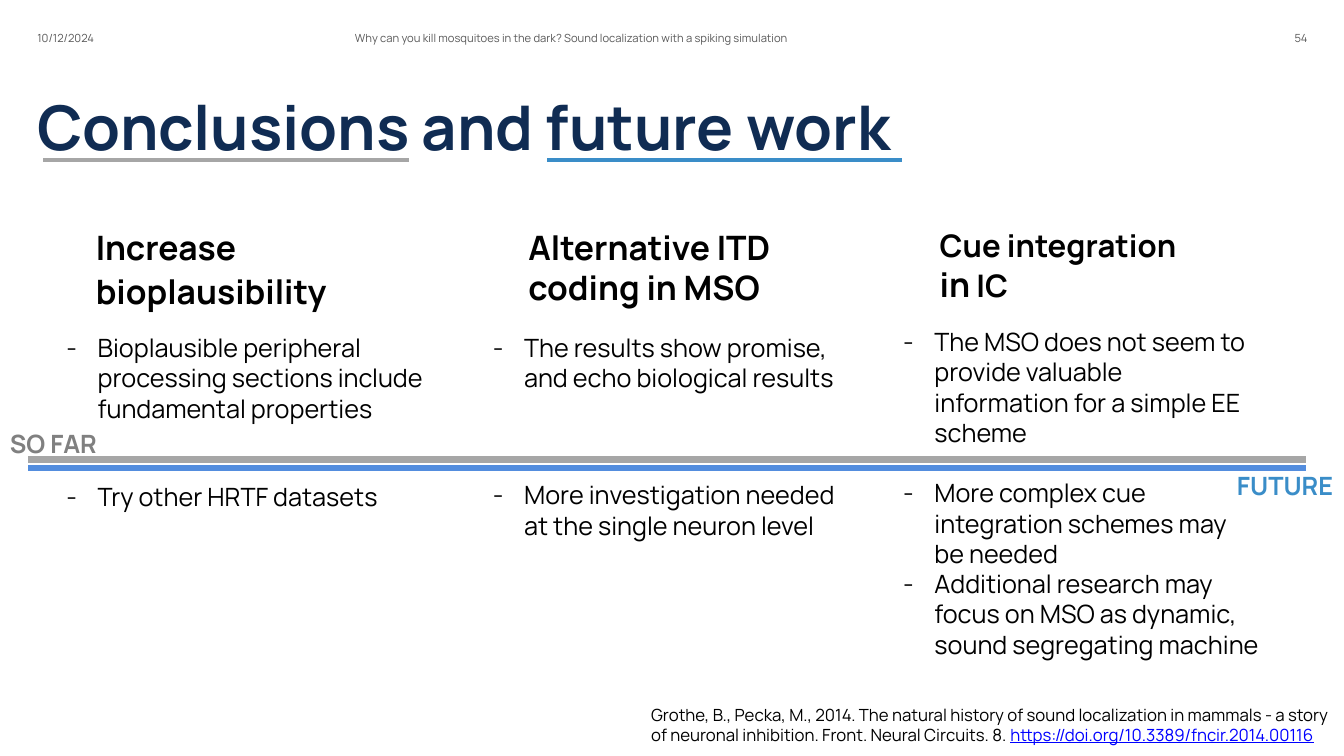
from lxml import etree
from pptx import Presentation
from pptx.dml.color import RGBColor
from pptx.enum import shapes, text
from pptx.oxml import ns
from pptx.util import Inches, Pt

FONT = "Manrope"
COLORS = {"navy": "102C53", "black": "000000", "meta": "595959", "gray": "808080",
          "rule": "A6A6A6", "sky": "3A8DC8", "blue": "538DDE", "link": "0000FF"}
INSET = (0.1, 0.05)

# heading: left, top, width, line spacing, runs; points: left, width, tops, items
COLUMNS = [
    {"heading": (0.95, 2.21, 2.85, 1.1, [("Increase bioplausibility", 24)]),
     "left": 0.56, "width": 3.89,
     "so_far": (3.25, ["Bioplausible peripheral processing sections include "
                       "fundamental properties"]),
     "future": (4.73, ["Try other HRTF datasets"])},
    {"heading": (5.24, 2.25, 2.85, 1.0, [("Alternative ITD coding in MSO", 24)]),
     "left": 4.79, "width": 3.75,
     "so_far": (3.25, ["The results show promise, and echo biological results"]),
     "future": (4.71, ["More investigation needed at the single neuron level"])},
    {"heading": (9.32, 2.25, 2.51, 1.0,
                 [("Cue integration ", 22.2), ("in", 24.1), (" IC", 22.2)]),
     "left": 8.86, "width": 3.74,
     "so_far": (3.19, ["The MSO does not seem to provide valuable information "
                       "for a simple EE scheme"]),
     "future": (4.69, ["More complex cue integration schemes may be needed",
                       "Additional research may focus on MSO as dynamic, "
                       "sound segregating machine"])},
]


def add_run(p, words, size, color="black", bold=False, underline=None):
    r = p.add_run()
    r.text = words
    r.font.name, r.font.size = FONT, Pt(size)
    r.font.bold, r.font.underline = bold, underline
    r.font.color.rgb = RGBColor.from_string(COLORS[color])


def set_frame(tf, inset=(0, 0), anchor=text.MSO_ANCHOR.TOP):
    tf.word_wrap = True
    tf.auto_size = text.MSO_AUTO_SIZE.NONE
    tf.vertical_anchor = anchor
    tf.margin_left = tf.margin_right = Inches(inset[0])
    tf.margin_top = tf.margin_bottom = Inches(inset[1])


def add_text(s, box, inset=(0, 0), anchor=text.MSO_ANCHOR.TOP):
    tf = s.shapes.add_textbox(*map(Inches, box)).text_frame
    set_frame(tf, inset, anchor)
    return tf


def add_rule(s, left, right, y, color, width):
    line = s.shapes.add_connector(shapes.MSO_CONNECTOR.STRAIGHT, Inches(left),
                                  Inches(y), Inches(right), Inches(y))
    line.line.color.rgb = RGBColor.from_string(COLORS[color])
    line.line.width = Pt(width)
    etree.SubElement(line._element.spPr, ns.qn("a:effectLst"))


def add_header(s, top, height):
    fields = [(0.37, 2.61, "10/12/2024", text.PP_ALIGN.LEFT),
              (3.52, 4.5, "Why can you kill mosquitoes in the dark? "
               "Sound localization with a spiking simulation", text.PP_ALIGN.LEFT),
              (11.83, 1.14, "54", text.PP_ALIGN.RIGHT)]
    for left, width, words, align in fields:
        tf = add_text(s, (left, top, width, height), anchor=text.MSO_ANCHOR.BOTTOM)
        tf.paragraphs[0].alignment = align
        add_run(tf.paragraphs[0], words, 8, "meta")


def add_title(s, left, top, width, height):
    title = s.shapes.title
    title.left, title.top = Inches(left), Inches(top)
    title.width, title.height = Inches(width), Inches(height)
    set_frame(title.text_frame)
    p = title.text_frame.paragraphs[0]
    p.alignment, p.line_spacing = text.PP_ALIGN.LEFT, 1.0
    add_run(p, "Conclusions and future work", 44, "navy", bold=True)
    underline_y = top + 0.71
    add_rule(s, left + 0.06, left + 3.69, underline_y, "rule", 3)
    add_rule(s, left + 5.06, left + 8.58, underline_y, "sky", 3)


def add_points(s, left, top, width, items):
    """Dash list, its box as tall as its items need."""
    lines = sum(-(-len(item) // 27) for item in items)
    tf = add_text(s, (left, top, width, 0.1 + 0.3 * lines), INSET)
    for i, item in enumerate(items):
        p = tf.add_paragraph() if i else tf.paragraphs[0]
        pPr = p._p.get_or_add_pPr()
        pPr.set("marL", str(Inches(0.31)))
        pPr.set("indent", str(Inches(-0.31)))
        etree.SubElement(pPr, ns.qn("a:buFont"), typeface=FONT)
        etree.SubElement(pPr, ns.qn("a:buChar"), char="-")
        add_run(p, item, 18)


def add_column(s, column):
    left, top, width, spacing, runs = column["heading"]
    p = add_text(s, (left, top, width, 0.85)).paragraphs[0]
    p.line_spacing = spacing
    for words, size in runs:
        add_run(p, words, size, bold=True)
    for part in ("so_far", "future"):
        top, items = column[part]
        add_points(s, column["left"], top, column["width"], items)


def add_divider(s, left, right, y):
    add_rule(s, left, right, y + 0.08, "blue", 4.5)
    add_rule(s, left, right, y, "rule", 4.5)
    for x, top, words, color in ((left - 0.28, y - 0.36, "SO FAR", "gray"),
                                 (right - 0.78, y + 0.06, "FUTURE", "sky")):
        tf = add_text(s, (x, top, 1.27, 0.4), INSET)
        add_run(tf.paragraphs[0], words, 18, color, bold=True)


def add_reference(s, left, top, width, height):
    p = add_text(s, (left, top, width, height), INSET).paragraphs[0]
    add_run(p, "Grothe, B., Pecka, M., 2014. The natural history of sound localization "
            "in mammals - a story of neuronal inhibition. Front. Neural Circuits. 8. ", 12)
    add_run(p, "https://doi.org/10.3389/fncir.2014.00116", 12, "link", underline=True)


def main():
    prs = Presentation()
    prs.slide_width, prs.slide_height = Inches(13.33), Inches(7.5)
    s = prs.slides.add_slide(prs.slide_layouts[5])
    add_title(s, 0.37, 0.88, 8.78, 0.97)
    add_header(s, 0.04, 0.4)
    for column in COLUMNS:
        add_column(s, column)
    add_divider(s, 0.28, 12.95, 4.56)
    add_reference(s, 6.36, 6.94, 7.08, 0.5)
    prs.save("out.pptx")


if __name__ == "__main__":
    main()
